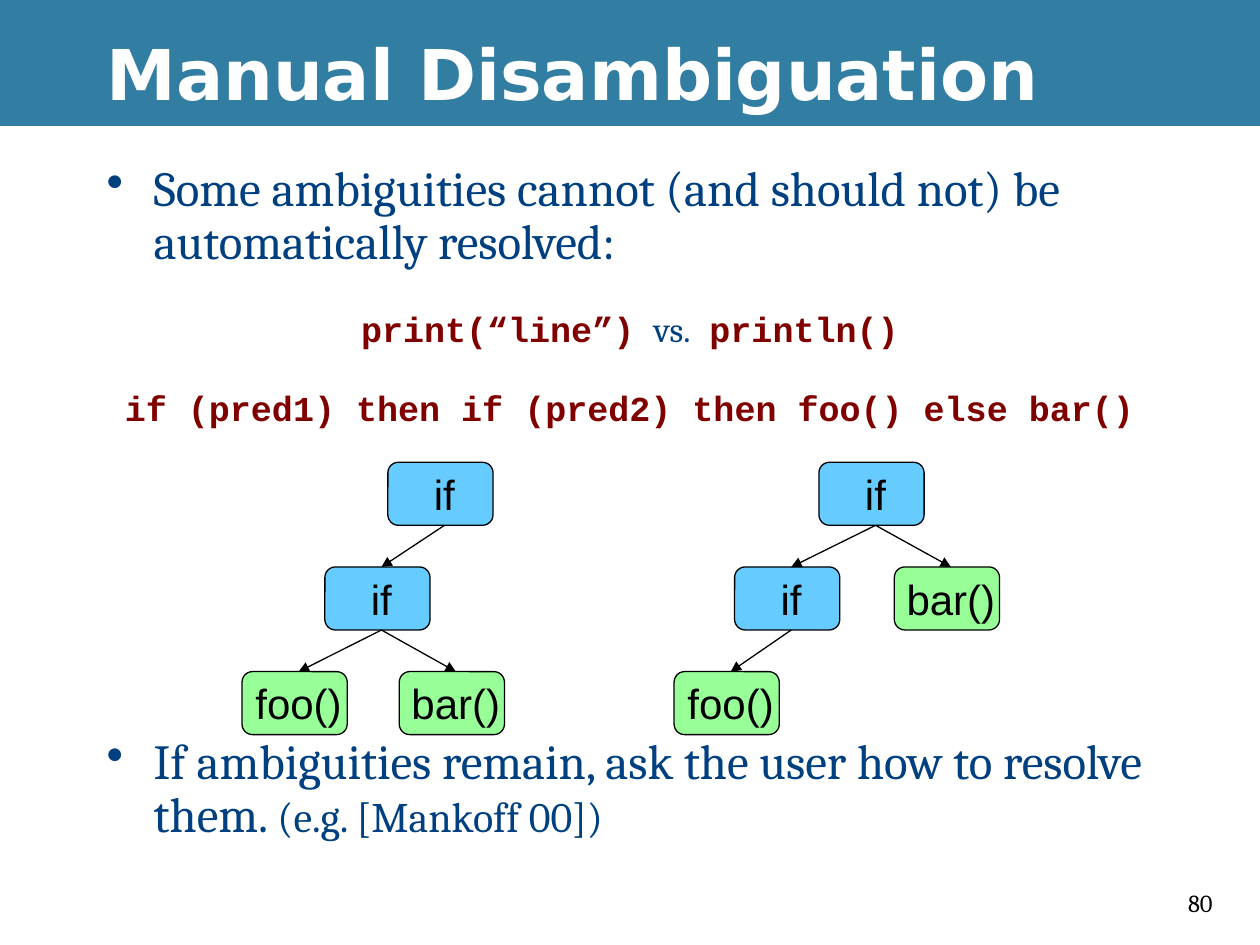
from lxml.etree import SubElement
from pptx import Presentation
from pptx.dml.color import RGBColor
from pptx.enum.shapes import MSO_CONNECTOR, MSO_SHAPE
from pptx.enum.text import MSO_ANCHOR, PP_ALIGN
from pptx.oxml.ns import qn
from pptx.util import Cm, Pt

WHITE = RGBColor(0xFF, 0xFF, 0xFF)
BLACK = RGBColor(0, 0, 0)
TEAL = RGBColor(0x32, 0x7E, 0xA3)
NAVY = RGBColor(0x00, 0x40, 0x80)
MAROON = RGBColor(0x80, 0, 0)
BLUE = RGBColor(0x66, 0xCC, 0xFF)
GREEN = RGBColor(0x98, 0xFF, 0x98)

TITLE = dict(name="DejaVu Sans", size=Pt(40), bold=True, color=WHITE)
BODY = dict(name="Cambria", size=Pt(28), bold=False, color=NAVY)
SMALL = {**BODY, "size": Pt(24)}
VERSUS = {**BODY, "size": Pt(20)}
CODE = dict(name="Courier New", size=Pt(20), bold=True, color=MAROON)
GAP = {**CODE, "size": Pt(18)}
NODE = dict(name="Arial", size=Pt(24), color=BLACK)
NUMBER = dict(name="Cambria", size=Pt(14), color=BLACK)

# (bulleted, space before in points, runs)
PARAGRAPHS = [
    (True, 0, [("Some ambiguities cannot (and should not) be automatically resolved:", BODY)]),
    (False, 24, [("print(“line”)", CODE), (" ", GAP), ("vs.", VERSUS),
                 (" ", GAP), ("println()", CODE)]),
    (False, 24, [("if (pred1) then if (pred2) then foo() else bar()", CODE)]),
    (True, 176, [("If ambiguities remain, ask the user how to resolve them. ", BODY),
                 ("(e.g. [Mankoff 00])", SMALL)]),
]

# Each tree: nodes as (label, left in cm, level), edges as (parent, child)
TREES = [
    ([("if", 7.82, 0), ("if", 6.55, 1), ("foo()", 4.88, 2), ("bar()", 8.05, 2)],
     [(0, 1), (1, 2), (1, 3)]),
    ([("if", 16.51, 0), ("if", 14.81, 1), ("foo()", 13.59, 2), ("bar()", 18.03, 1)],
     [(0, 1), (1, 2), (0, 3)]),
]
NODE_WIDTH, NODE_HEIGHT = 2.12, 1.27
TREE_TOP, LEVEL_STEP = 9.32, 2.11
LABEL_SHIFT = 0.08  # labels and arrows sit slightly right of the node centre


def add_run(paragraph, text, style):
    run = paragraph.add_run()
    run.text = text
    for key, value in style.items():
        if key == "color":
            run.font.color.rgb = value
        else:
            setattr(run.font, key, value)


def add_textbox(slide, left, top, width, height):
    frame = slide.shapes.add_textbox(Cm(left), Cm(top), Cm(width), Cm(height)).text_frame
    frame.word_wrap = True
    return frame


def add_filled(slide, kind, left, top, width, height, color):
    shape = slide.shapes.add_shape(kind, Cm(left), Cm(top), Cm(width), Cm(height))
    shape.shadow.inherit = False
    shape.fill.solid()
    shape.fill.fore_color.rgb = color
    return shape


def add_body(slide):
    frame = add_textbox(slide, 1.9, 3.18, 21.6, 14.8)
    for index, (bulleted, before, runs) in enumerate(PARAGRAPHS):
        paragraph = frame.paragraphs[0] if index == 0 else frame.add_paragraph()
        paragraph.line_spacing = 0.9
        paragraph.space_before = Pt(before)
        paragraph.alignment = PP_ALIGN.LEFT if bulleted else PP_ALIGN.CENTER
        properties = paragraph._p.get_or_add_pPr()
        properties.set("marL", str(Cm(0.95)))
        properties.set("indent", str(-Cm(0.95)))
        if bulleted:
            SubElement(properties, qn("a:buChar"), char="•")
        else:
            SubElement(properties, qn("a:buNone"))
        for text, style in runs:
            add_run(paragraph, text, style)


def add_node(slide, label, left, level):
    color = BLUE if label == "if" else GREEN
    shape = add_filled(slide, MSO_SHAPE.FLOWCHART_ALTERNATE_PROCESS, left,
                       TREE_TOP + level * LEVEL_STEP, NODE_WIDTH, NODE_HEIGHT, color)
    shape.line.color.rgb = BLACK
    shape.line.width = Pt(0.75)
    frame = shape.text_frame
    frame.word_wrap = False
    frame.margin_left, frame.margin_right = Cm(2 * LABEL_SHIFT), 0
    frame.vertical_anchor = MSO_ANCHOR.MIDDLE
    frame.paragraphs[0].alignment = PP_ALIGN.CENTER
    add_run(frame.paragraphs[0], label, NODE)


def add_arrow(slide, parent, child):
    """Join the bottom of the parent node to the top of the child node."""
    (_, parent_left, parent_level), (_, child_left, child_level) = parent, child
    middle = NODE_WIDTH / 2 + LABEL_SHIFT
    arrow = slide.shapes.add_connector(
        MSO_CONNECTOR.STRAIGHT,
        Cm(parent_left + middle), Cm(TREE_TOP + parent_level * LEVEL_STEP + NODE_HEIGHT),
        Cm(child_left + middle), Cm(TREE_TOP + child_level * LEVEL_STEP))
    arrow.line.color.rgb = BLACK
    arrow.line.width = Pt(0.75)
    SubElement(arrow.line._get_or_add_ln(), qn("a:tailEnd"), type="triangle")
    SubElement(arrow._element.spPr, qn("a:effectLst"))


def main():
    presentation = Presentation()
    presentation.slide_width, presentation.slide_height = Cm(25.4), Cm(19.05)
    slide = presentation.slides.add_slide(presentation.slide_layouts[6])
    slide.background.fill.solid()
    slide.background.fill.fore_color.rgb = WHITE

    band = add_filled(slide, MSO_SHAPE.RECTANGLE, 0, 0, 25.4, 2.54, TEAL)
    band.line.fill.background()
    add_run(add_textbox(slide, 23.7, 17.78, 1.27, 0.84).paragraphs[0], "80", NUMBER)
    title = add_textbox(slide, 1.9, 0.2, 23.5, 2.54)
    title.vertical_anchor = MSO_ANCHOR.MIDDLE
    add_run(title.paragraphs[0], "Manual Disambiguation", TITLE)

    add_body(slide)
    for nodes, edges in TREES:
        for node in nodes:
            add_node(slide, *node)
        for parent, child in edges:
            add_arrow(slide, nodes[parent], nodes[child])
    presentation.save("out.pptx")


if __name__ == "__main__":
    main()
